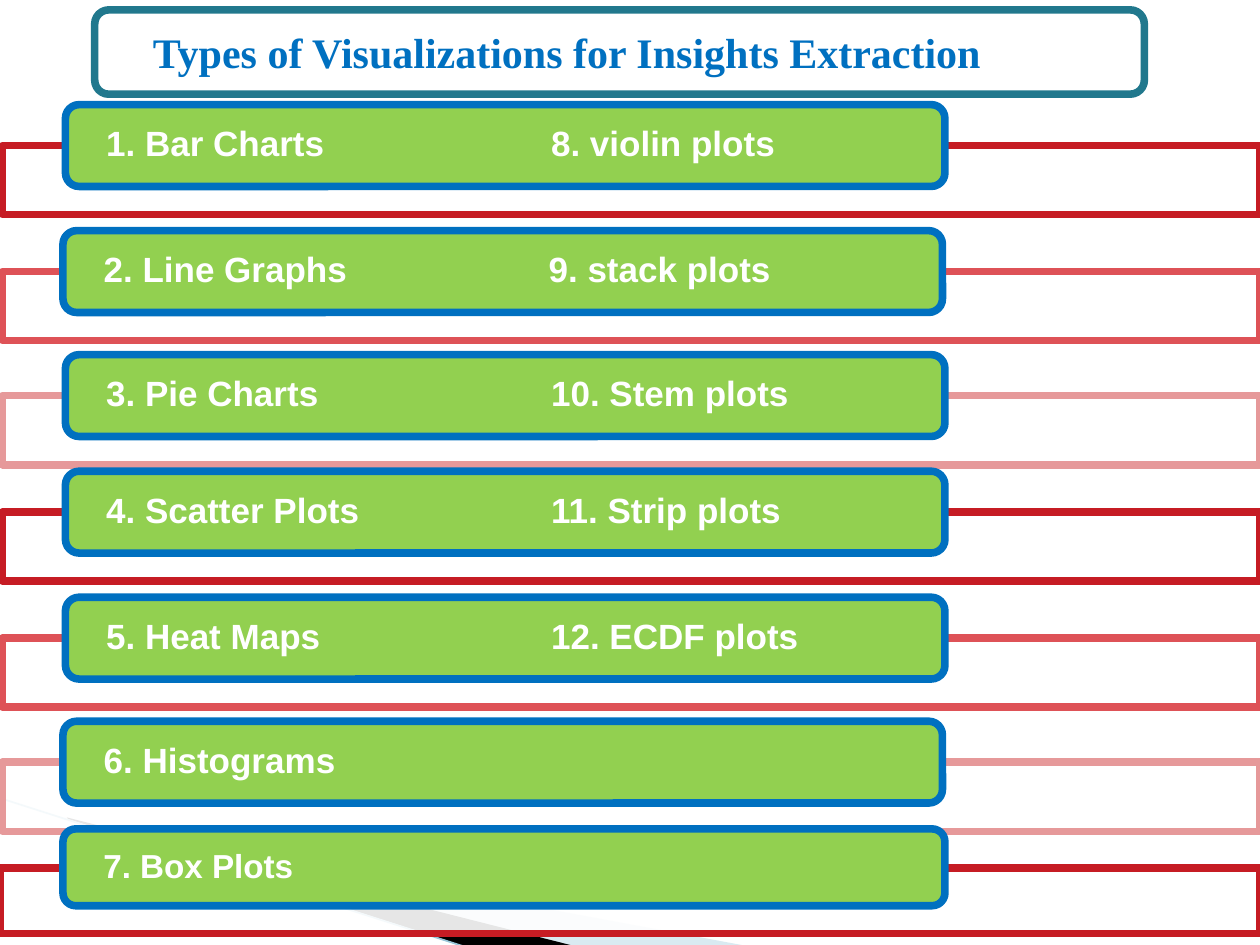
"""Builds the slide that lists twelve types of visualizations."""
from dataclasses import dataclass

from lxml import etree
from pptx import Presentation
from pptx.dml.color import RGBColor
from pptx.enum.shapes import MSO_CONNECTOR, MSO_SHAPE
from pptx.enum.text import MSO_ANCHOR, PP_ALIGN
from pptx.oxml.ns import qn
from pptx.util import Cm, Pt

RECTANGLE = MSO_SHAPE.RECTANGLE
ROUNDED = MSO_SHAPE.ROUNDED_RECTANGLE
STRAIGHT = MSO_CONNECTOR.STRAIGHT
MIDDLE = MSO_ANCHOR.MIDDLE
LEFT = PP_ALIGN.LEFT


@dataclass(frozen=True)
class Theme:
    white: str = "FFFFFF"
    black: str = "000000"
    blue: str = "0070C0"
    green: str = "92D050"
    teal: str = "21788D"
    pale_blue: str = "A0CBDC"
    curve: str = "97C5D8"
    reds: tuple = ("C61C24", "DE5257", "E6999A")
    title_font: str = "Times New Roman"
    label_font: str = "Arial"
    title_size: int = 24
    label_size: int = 20
    small_size: int = 19
    border: float = 4.33
    hairline: float = 0.95


def apply_format(target, values):
    for name, value in values.items():
        setattr(target, name, value)


class SlideBuilder:
    def __init__(self, page, theme):
        self.page = page
        self.theme = theme

    def paint(self, shape, fill=None, opacity=100, line=None):
        shape.shadow.inherit = False
        if fill:
            shape.fill.solid()
            shape.fill.fore_color.rgb = RGBColor.from_string(fill)
            if opacity < 100:
                color = shape.fill._xPr.find(qn("a:solidFill"))[0]
                etree.SubElement(color, qn("a:alpha"), val=str(opacity * 1000))
        else:
            shape.fill.background()
        if line:
            shape.line.color.rgb = RGBColor.from_string(line)
            shape.line.width = Pt(self.theme.border)
        else:
            shape.line.fill.background()

    def box(self, kind, left, top, width, height, **paint):
        shape = self.page.shapes.add_shape(
            kind, Cm(left), Cm(top), Cm(width), Cm(height))
        self.paint(shape, **paint)
        return shape

    def wedge(self, points, **paint):
        corners = [(Cm(x), Cm(y)) for x, y in points]
        outline = self.page.shapes.build_freeform(*corners[0])
        outline.add_line_segments(corners[1:])
        self.paint(outline.convert_to_shape(), **paint)

    def line(self, start, end, color):
        connector = self.page.shapes.add_connector(
            STRAIGHT, *(Cm(value) for value in start + end))
        connector.line.color.rgb = RGBColor.from_string(color)
        connector.line.width = Pt(self.theme.hairline)
        etree.SubElement(connector._element.spPr, qn("a:effectLst"))

    def text(self, shape, words, inset, font, size, color):
        frame = shape.text_frame
        apply_format(frame, {
            "word_wrap": True, "vertical_anchor": MIDDLE,
            "margin_left": Cm(inset), "margin_right": Cm(inset),
            "margin_top": 0, "margin_bottom": 0})
        para = frame.paragraphs[0]
        para.alignment = LEFT
        span = para.add_run()
        span.text = words
        apply_format(span.font, {"name": font, "size": Pt(size), "bold": True})
        span.font.color.rgb = RGBColor.from_string(color)
        return para

    def label(self, shape, words, size, tab):
        para = self.text(shape, words, 0.74, self.theme.label_font, size,
                         self.theme.white)
        apply_format(para, {"line_spacing": 0.9, "space_after": Pt(0)})
        stops = etree.SubElement(para._p.get_or_add_pPr(), qn("a:tabLst"))
        etree.SubElement(stops, qn("a:tab"), pos=str(Cm(tab)), algn="l")

    def row(self, bar, pill, red, words, size):
        self.box(RECTANGLE, *bar, fill=self.theme.white, opacity=90, line=red)
        shape = self.box(ROUNDED, *pill, fill=self.theme.green,
                         line=self.theme.blue)
        self.label(shape, words, size, tab=8.97)

    def title(self, words):
        shape = self.box(ROUNDED, 1.91, 0.2, 21.16, 1.7, line=self.theme.teal)
        self.text(shape, words, 1.09, self.theme.title_font,
                  self.theme.title_size, self.theme.blue)


def main():
    theme = Theme()
    deck = Presentation()
    apply_format(deck, {"slide_width": Cm(25.4), "slide_height": Cm(19.05)})
    page = deck.slides.add_slide(deck.slide_layouts[6])
    builder = SlideBuilder(page, theme)

    builder.wedge([(1.4, 16.54), (15.11, 19.08), (11.58, 19.08), (1.4, 16.51)],
                  fill=theme.pale_blue, opacity=40)
    builder.wedge([(1.35, 16.48), (11.61, 19.08), (9.45, 19.1), (1.37, 16.51)],
                  fill=theme.black)
    builder.line((-0.03, 16.08), (9.42, 19.1), theme.curve)

    rows = [
        (1.32, 2.11, "1. Bar Charts\t8. violin plots"),
        (1.27, 4.65, "2. Line Graphs\t9. stack plots"),
        (1.32, 7.15, "3. Pie Charts\t10. Stem plots"),
        (1.32, 9.5, "4. Scatter Plots\t11. Strip plots"),
        (1.32, 12.04, "5. Heat Maps\t12. ECDF plots"),
        (1.27, 14.54, "6. Histograms"),
    ]
    for index, (left, top, words) in enumerate(rows):
        builder.row((0.05, top + 0.82, 25.35, 1.4), (left, top, 17.73, 1.65),
                    theme.reds[index % len(theme.reds)], words,
                    theme.label_size)
    builder.row((0, 17.5, 25.4, 1.32), (1.27, 16.71, 17.78, 1.55),
                theme.reds[0], "7. Box Plots", theme.small_size)
    builder.title("Types of Visualizations for Insights Extraction")

    deck.save("out.pptx")


if __name__ == "__main__":
    main()
